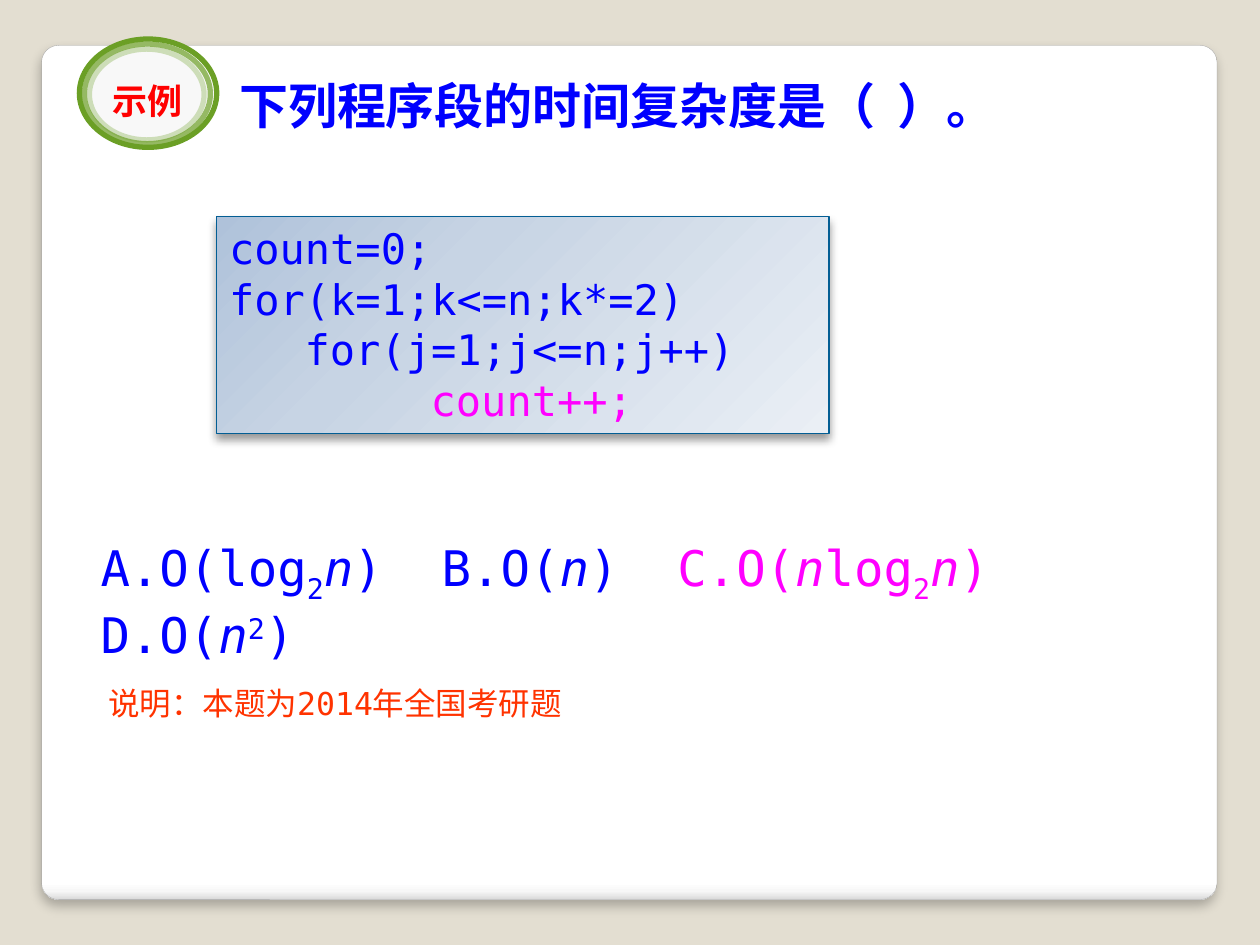
from lxml import etree
from pptx import Presentation
from pptx import util as u
from pptx.dml.color import RGBColor
from pptx.enum import shapes, text
from pptx.oxml.ns import qn

COLORS = {
    "background": "E3DED1", "panel_line": "A4A4A4", "code_line": "035E94",
    "blue": "0000FF", "magenta": "FF00FF", "orange": "FF3300", "red": "FF0000",
    "green": "6B9F25", "badge": "F8F8F8", "black": "000000",
}
PANEL_STOPS = [(0, "FFFFFF"), (98, "FFFFFF"), (99, "F7F7F7"), (100, "DADADA")]
CODE_STOPS = [(0, "AFC2DA"), (35, "C7D4E4"), (100, "EAEFF5")]
MONO = "DejaVu Sans Mono"
SANS = "Noto Sans CJK JP"
CODE_LINES = [
    ("count=0;", 0, "blue"),
    ("for(k=1;k<=n;k*=2)", 0, "blue"),
    ("for(j=1;j<=n;j++)", 0.6, "blue"),
    ("count++;", 1.6, "magenta"),
]
OPTIONS = [
    ("A.O(log", "blue", ""), ("2", "blue", "sub"), ("n", "blue", "italic"),
    (")  B.O(", "blue", ""), ("n", "blue", "italic"), (")  ", "blue", ""),
    ("C.O(", "magenta", ""), ("n", "magenta", "italic"), ("log", "magenta", ""),
    ("2", "magenta", "sub"), ("n", "magenta", "italic"), (") ", "magenta", ""),
    (" D.O(", "blue", ""), ("n", "blue", "italic"), ("2", "blue", "super"),
    (")", "blue", ""),
]
BASELINES = {"sub": "-25000", "super": "30000"}


def rgb(name):
    """Return a named colour."""
    return RGBColor.from_string(COLORS[name])


def add_color(parent, value, opacity=100):
    """Append a colour element with its opacity in percent."""
    color = etree.SubElement(parent, qn("a:srgbClr"), val=value)
    if opacity < 100:
        etree.SubElement(color, qn("a:alpha"), val=str(opacity * 1000))


def set_gradient(shape, stops, angle):
    """Fill a shape with a linear gradient running clockwise from the right."""
    shape.fill.gradient()
    gradient = shape._element.spPr.find(qn("a:gradFill"))
    stop_list = gradient.find(qn("a:gsLst"))
    for stop in list(stop_list):
        stop_list.remove(stop)
    for position, value in stops:
        stop = etree.SubElement(stop_list, qn("a:gs"), pos=str(position * 1000))
        add_color(stop, value)
    gradient.find(qn("a:lin")).set("ang", str(angle * 60000))


def set_shadow(shape, opacity, blur, distance):
    """Give a shape a soft black shadow straight below it."""
    shape.shadow.inherit = False
    effects = shape._element.spPr.find(qn("a:effectLst"))
    shadow = etree.SubElement(
        effects, qn("a:outerShdw"), blurRad=str(u.Pt(blur)),
        dist=str(u.Pt(distance)), dir="5400000", algn="t", rotWithShape="0")
    add_color(shadow, COLORS["black"], opacity)


def add_shape(parent, kind, place, line, width):
    """Add an unfilled, shadowless outlined shape."""
    shape = parent.add_shape(kind, *map(u.Inches, place))
    shape.shadow.inherit = False
    shape.fill.background()
    shape.line.color.rgb = rgb(line)
    shape.line.width = u.Pt(width)
    return shape


def add_text_box(parent, place):
    """Add a wrapping text box and return its first paragraph."""
    box = parent.add_textbox(*map(u.Inches, place))
    box.text_frame.word_wrap = True
    box.text_frame.auto_size = text.MSO_AUTO_SIZE.SHAPE_TO_FIT_TEXT
    return box.text_frame.paragraphs[0]


def set_font(paragraph, size, color, name=MONO, bold=False):
    """Set the font that all runs of a paragraph share."""
    font = paragraph.font
    font.size = u.Pt(size)
    font.name = name
    font.bold = bold
    font.color.rgb = rgb(color)


def add_line(parent, place, words, size, color, **style):
    """Add a text box with one uniform line and return its paragraph."""
    paragraph = add_text_box(parent, place)
    paragraph.text = words
    set_font(paragraph, size, color, **style)
    return paragraph


def add_panel(slide):
    """Add the white rounded panel behind the content."""
    panel = add_shape(slide.shapes, shapes.MSO_SHAPE.ROUNDED_RECTANGLE,
                      (0.33, 0.36, 9.33, 6.78), "panel_line", 0.16)
    panel.adjustments[0] = 0.02
    set_gradient(panel, PANEL_STOPS, 90)
    set_shadow(panel, 25, 6, 4)


def add_options(slide):
    """Add the four answers with their subscripts and italics."""
    paragraph = add_text_box(slide.shapes, (0.7, 4.22, 8.79, 0.57))
    set_font(paragraph, 28, "blue")
    for words, color, style in OPTIONS:
        span = paragraph.add_run()
        span.text = words
        span.font.color.rgb = rgb(color)
        span.font.italic = style == "italic"
        if style in BASELINES:
            span._r.get_or_add_rPr().set("baseline", BASELINES[style])


def add_code(slide):
    """Add the shaded box with the program listing."""
    box = add_shape(slide.shapes, shapes.MSO_SHAPE.RECTANGLE,
                    (1.72, 1.72, 4.86, 1.72), "code_line", 0.75)
    set_gradient(box, CODE_STOPS, 45)
    set_shadow(box, 40, 5.2, 3)
    frame = box.text_frame
    frame.word_wrap = True
    frame.vertical_anchor = text.MSO_ANCHOR.TOP
    for index, (words, indent, color) in enumerate(CODE_LINES):
        para = frame.add_paragraph() if index else frame.paragraphs[0]
        para.text = words
        para.alignment = text.PP_ALIGN.LEFT
        para._p.get_or_add_pPr().set("marL", str(u.Inches(indent)))
        set_font(para, 24, color)


def add_badge(slide):
    """Add the label inside three green rings that fade inwards."""
    badge = slide.shapes.add_group_shape().shapes
    rings = [((0.63, 0.31, 1.09, 0.86), 100), ((0.67, 0.35, 1, 0.79), 70),
             ((0.71, 0.39, 0.91, 0.72), 30)]
    for place, opacity in rings:
        ring = add_shape(badge, shapes.MSO_SHAPE.OVAL, place, "green", 3)
        if opacity == 100:
            ring.fill.solid()
            ring.fill.fore_color.rgb = rgb("badge")
        else:
            color = ring.line._ln.find(".//" + qn("a:srgbClr"))
            etree.SubElement(color, qn("a:alpha"), val=str(opacity * 1000))
    label = add_line(badge, (0.69, 0.58, 0.96, 0.39), "示例", 20, "red",
                     name=SANS, bold=True)
    label.alignment = text.PP_ALIGN.CENTER


def main():
    """Build the slide and save the deck."""
    deck = Presentation()
    deck.slide_width, deck.slide_height = u.Inches(10), u.Inches(7.5)
    slide = deck.slides.add_slide(deck.slide_layouts[6])
    slide.background.fill.solid()
    slide.background.fill.fore_color.rgb = rgb("background")
    add_panel(slide)
    add_line(slide.shapes, (1.8, 0.55, 6.12, 0.57),
             "下列程序段的时间复杂度是（  ）。", 28, "blue", bold=True)
    add_options(slide)
    add_code(slide)
    add_line(slide.shapes, (0.76, 5.38, 4.38, 0.43),
             "说明：本题为2014年全国考研题", 18, "orange")
    add_badge(slide)
    deck.save("out.pptx")


if __name__ == "__main__":
    main()
